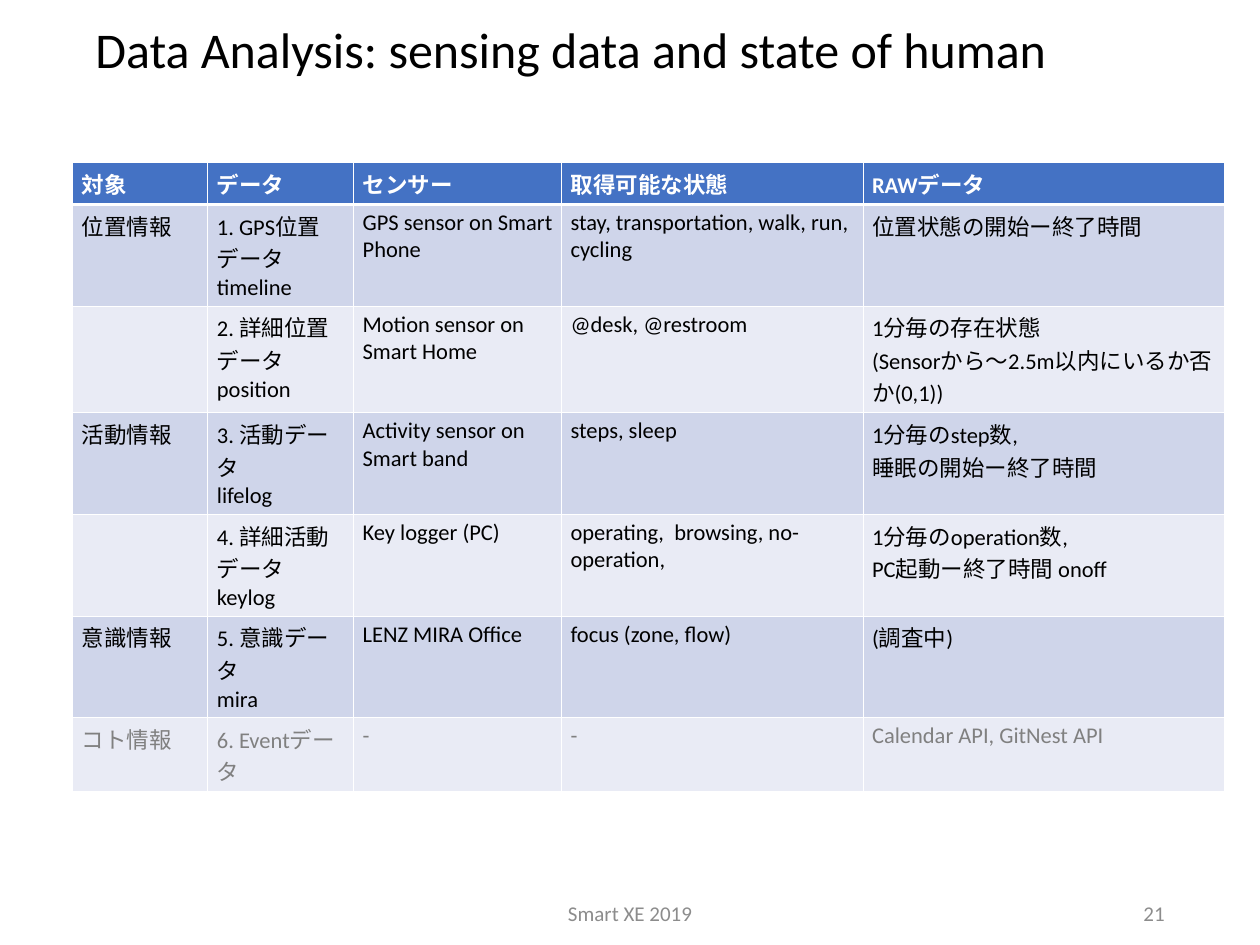
from dataclasses import dataclass

from lxml.etree import SubElement
from pptx import Presentation
from pptx.dml.color import RGBColor
from pptx.enum.text import MSO_ANCHOR, MSO_AUTO_SIZE, PP_ALIGN
from pptx.oxml.ns import qn
from pptx.util import Inches, Pt

BLACK = RGBColor(0x00, 0x00, 0x00)
WHITE = RGBColor(0xFF, 0xFF, 0xFF)
FOOTER_GRAY = RGBColor(0x8C, 0x8C, 0x8C)
MUTED_GRAY = RGBColor(0x80, 0x80, 0x80)
HEADER_BLUE = RGBColor(0x44, 0x72, 0xC4)
BAND_DARK = RGBColor(0xCF, 0xD5, 0xEA)
BAND_LIGHT = RGBColor(0xE9, 0xEB, 0xF5)

COLUMN_WIDTHS = (1.5, 1.62, 2.31, 3.35, 4.02)
ROW_HEIGHT = 0.41

# "\n" starts a paragraph, "\v" breaks a line inside one
HEADINGS = ("対象", "データ", "センサー", "取得可能な状態", "RAWデータ")
SENSING_ROWS = (
    ("位置情報", "1. GPS位置データ\ntimeline", "GPS sensor on Smart Phone",
     "stay, transportation, walk, run, cycling", "位置状態の開始ー終了時間"),
    ("", "2. 詳細位置データ\vposition", "Motion sensor on Smart Home",
     "@desk, @restroom",
     "1分毎の存在状態\n(Sensorから～2.5m以内にいるか否か(0,1))"),
    ("活動情報", "3. 活動データ\vlifelog", "Activity sensor on Smart band",
     "steps, sleep", "1分毎のstep数,\n睡眠の開始ー終了時間"),
    ("", "4. 詳細活動データ\vkeylog", "Key logger (PC)",
     "operating,  browsing, no-operation,",
     "1分毎のoperation数,\nPC起動ー終了時間 onoff"),
    ("意識情報", "5. 意識データ\nmira", "LENZ MIRA Office",
     "focus (zone, flow)", "(調査中)"),
    ("コト情報", "6. Eventデータ", "-", "-", "Calendar API, GitNest API"),
)


@dataclass(frozen=True)
class FooterText:
    text: str
    left: float
    width: float
    alignment: PP_ALIGN


@dataclass(frozen=True)
class RowStyle:
    fill: RGBColor
    color: RGBColor
    bold: bool = False
    top_line: float = 1
    bottom_line: float = 1


FOOTERS = (
    FooterText("Smart XE 2019", 4.64, 4.72, PP_ALIGN.CENTER),
    FooterText("21", 9.89, 3.15, PP_ALIGN.RIGHT),
)


def set_attributes(target, values: dict) -> None:
    for name, value in values.items():
        setattr(target, name, value)


def format_text(text_frame, size: float, color: RGBColor, bold: bool = False,
                alignment: PP_ALIGN = PP_ALIGN.LEFT) -> None:
    for paragraph in text_frame.paragraphs:
        paragraph.alignment = alignment
        for run in paragraph.runs:
            set_attributes(run.font, {"name": "Calibri", "size": Pt(size), "bold": bold})
            run.font.color.rgb = color


def add_cell_borders(cell, style: RowStyle) -> None:
    properties = cell._tc.get_or_add_tcPr()
    widths = {"L": 1, "R": 1, "T": style.top_line, "B": style.bottom_line}
    for side, width in widths.items():
        line = SubElement(properties, qn(f"a:ln{side}"), w=str(Pt(width)))
        SubElement(SubElement(line, qn("a:solidFill")), qn("a:srgbClr"), val=str(WHITE))


def fill_row(cells, texts: tuple[str, ...], style: RowStyle) -> None:
    for cell, text in zip(cells, texts):
        cell.text = text
        format_text(cell.text_frame, 18, style.color, style.bold)
        if not text:
            cell.text_frame.paragraphs[0].font.size = Pt(18)
        add_cell_borders(cell, style)
        cell.fill.solid()
        cell.fill.fore_color.rgb = style.fill


def body_style(index: int) -> RowStyle:
    return RowStyle(
        fill=BAND_LIGHT if index % 2 else BAND_DARK,
        color=MUTED_GRAY if index == len(SENSING_ROWS) - 1 else BLACK,
        top_line=1 if index else 3,
    )


def add_title(slide, text: str) -> None:
    title = slide.shapes.title
    set_attributes(title, {"left": Inches(0.96), "top": Inches(0.12),
                           "width": Inches(12.07), "height": Inches(0.92)})
    title.text_frame.text = text
    set_attributes(title.text_frame, {"vertical_anchor": MSO_ANCHOR.MIDDLE,
                                      "auto_size": MSO_AUTO_SIZE.NONE, "word_wrap": True})
    title.text_frame.paragraphs[0].line_spacing = 0.9
    format_text(title.text_frame, 40, BLACK)


def add_sensing_table(slide) -> None:
    row_count = len(SENSING_ROWS) + 1
    table = slide.shapes.add_table(
        row_count, len(COLUMN_WIDTHS), Inches(0.81), Inches(1.81),
        Inches(sum(COLUMN_WIDTHS)), Inches(ROW_HEIGHT * row_count)).table
    for column, width in zip(table.columns, COLUMN_WIDTHS):
        column.width = Inches(width)
    for row in table.rows:
        row.height = Inches(ROW_HEIGHT)
    fill_row(table.rows[0].cells, HEADINGS,
             RowStyle(HEADER_BLUE, WHITE, bold=True, bottom_line=3))
    for index, texts in enumerate(SENSING_ROWS):
        fill_row(table.rows[index + 1].cells, texts, body_style(index))


def add_footer(slide, footer: FooterText) -> None:
    box = slide.shapes.add_textbox(Inches(footer.left), Inches(10),
                                   Inches(footer.width), Inches(0.29))
    box.text_frame.text = footer.text
    set_attributes(box.text_frame, {"word_wrap": True, "vertical_anchor": MSO_ANCHOR.MIDDLE})
    format_text(box.text_frame, 16.8, FOOTER_GRAY, alignment=footer.alignment)


def main() -> None:
    presentation = Presentation()
    set_attributes(presentation, {"slide_width": Inches(14), "slide_height": Inches(10.5)})
    slide = presentation.slides.add_slide(presentation.slide_layouts[5])

    # Title, table, then footer line
    add_title(slide, "Data Analysis: sensing data and state of human")
    add_sensing_table(slide)
    for footer in FOOTERS:
        add_footer(slide, footer)

    presentation.save("out.pptx")


if __name__ == "__main__":
    main()
